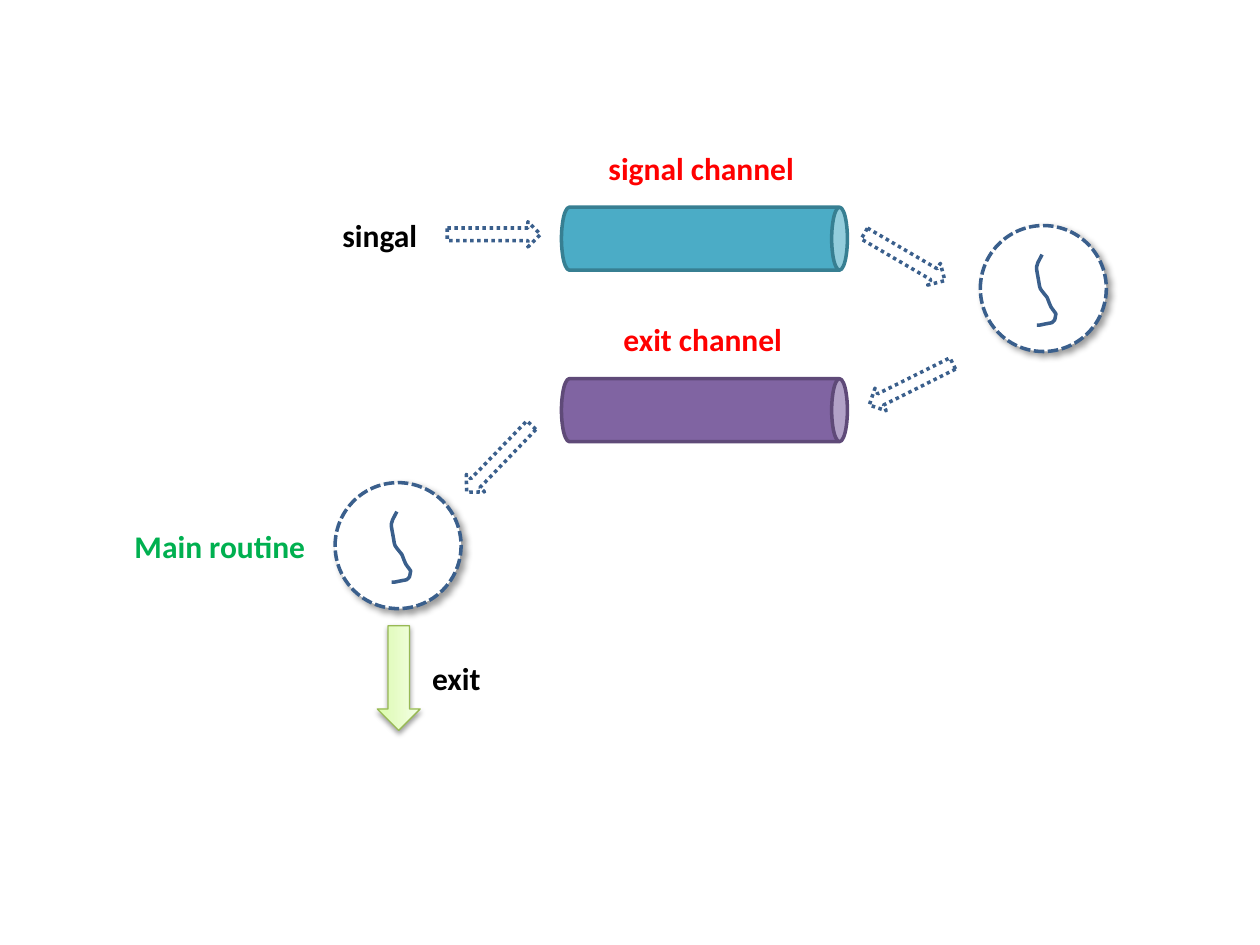
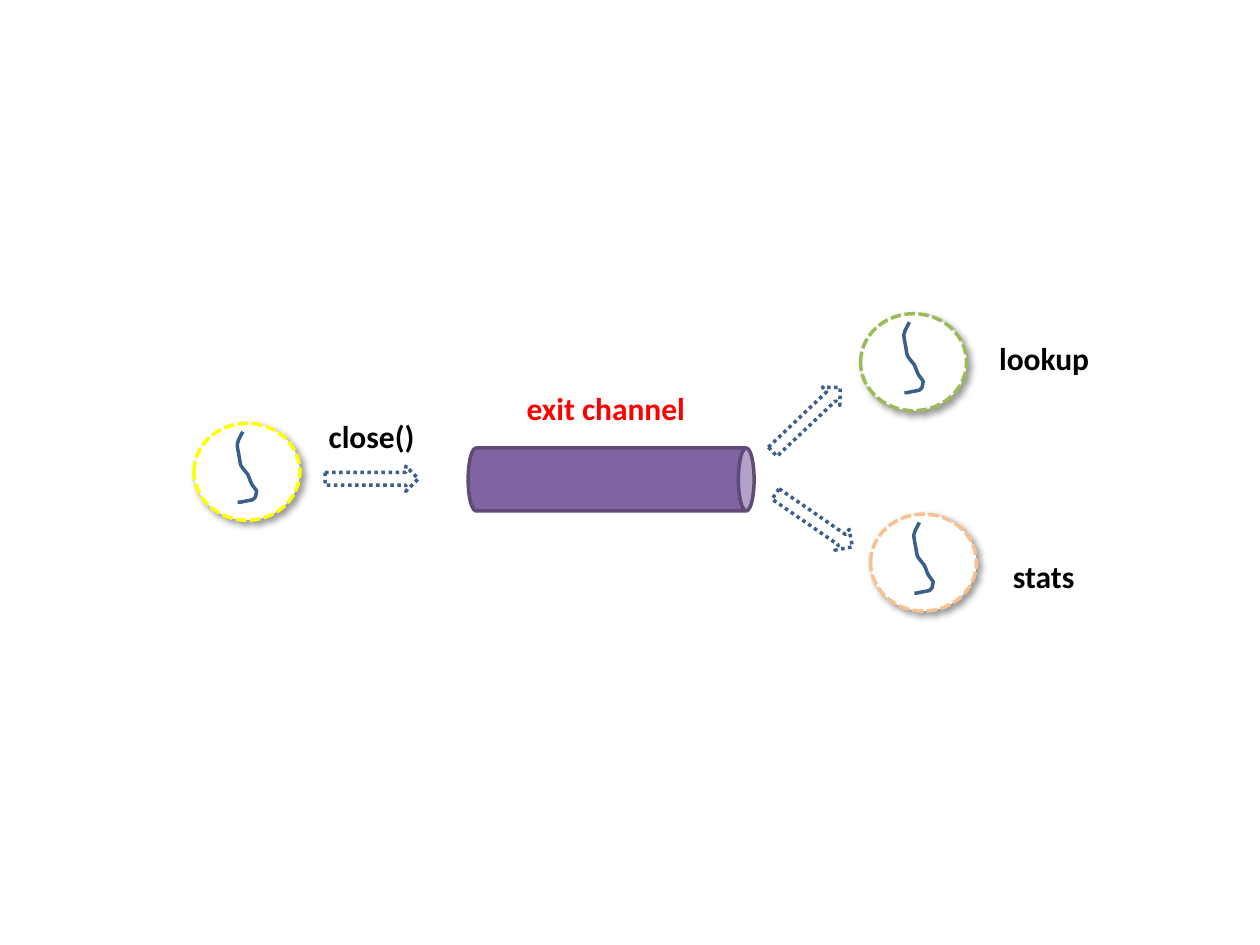
from dataclasses import dataclass
from lxml.etree import SubElement
from pptx import Presentation
from pptx.dml.color import RGBColor
from pptx.enum.dml import MSO_LINE as Dash
from pptx.enum.shapes import MSO_SHAPE as Preset
from pptx.enum.text import MSO_AUTO_SIZE as AutoSize
from pptx.oxml.ns import qn
from pptx.util import Pt


@dataclass(frozen=True)
class Theme:
    """Colours, type and sizes shared by the slides."""
    white: str = "FFFFFF"
    black: str = "000000"
    red: str = "FF0000"
    green: str = "00B050"
    blue: str = "3A5F8C"
    yellow: str = "FFFF00"
    olive: str = "9BBB59"
    peach: str = "FAC090"
    teal: tuple = ("4BACC6", "377F92")
    purple: tuple = ("8064A2", "5F4A78")
    exit_line: str = "98B955"
    exit_stops: tuple = ((0, "DAFDA7"), (35, "E4FCC2"), (100, "F5FFE7"))
    stroke: float = 2
    label_height: float = 28.8
    arrow_size: tuple = (53.3, 14.4)
    channel_size: tuple = (163.4, 36)


THEME = Theme()
LABEL_FONT = {"name": "Calibri", "size": Pt(18), "bold": True}
LABEL_FRAME = {"word_wrap": False, "auto_size": AutoSize.SHAPE_TO_FIT_TEXT}
ROUTINE_SHADOW = {"blur": 4, "distance": 3, "angle": 45, "alpha": 40}
EXIT_SHADOW = {"blur": 3.1, "distance": 1.6, "angle": 90, "alpha": 38}

# Thread outline in hundredths of an inch: a start, then Bezier triples.
THREAD_UNIT = Pt(0.72)
THREAD_START = (4, 0)
THREAD_CURVES = (
    (-2, 12), (-1, 6), (2, 25), (2, 26), (3, 28), (4, 29),
    (5, 31), (7, 32), (8, 34), (12, 44), (10, 40), (15, 47),
    (14, 49), (15, 52), (13, 53), (12, 55), (9, 54), (7, 55),
    (5, 55), (4, 56), (2, 56), (2, 56), (1, 56), (0, 56),
)


def apply_format(target, values):
    """Set every attribute named in a dict."""
    for name, value in values.items():
        setattr(target, name, value)


def style_line(shape, color, width=THEME.stroke, dash=None):
    """Give a shape its outline."""
    shape.line.color.rgb = RGBColor.from_string(color)
    apply_format(shape.line, {"width": Pt(width), "dash_style": dash})


def add_preset(slide, preset, box, fill, line, dash=None, rotation=0):
    """Add a flat preset shape; box is left, top, width, height."""
    shape = slide.shapes.add_shape(preset, *map(Pt, box))
    shape.rotation = rotation
    shape.fill.solid()
    shape.fill.fore_color.rgb = RGBColor.from_string(fill)
    style_line(shape, line, dash=dash)
    shape.shadow.inherit = False
    return shape


def add_color(parent, color, alpha=None):
    """Append an RGB colour element, with an optional opacity in percent."""
    element = SubElement(parent, qn("a:srgbClr"), val=color)
    if alpha is not None:
        SubElement(element, qn("a:alpha"), val=str(alpha * 1000))


def add_shadow(shape, blur, distance, angle, alpha):
    """Fill the empty effect list of a shape with an outer shadow."""
    effects = shape._element.spPr.find(qn("a:effectLst"))
    shadow = SubElement(
        effects, qn("a:outerShdw"), blurRad=str(Pt(blur)),
        dist=str(Pt(distance)), dir=str(angle * 60000), rotWithShape="0")
    add_color(shadow, THEME.black, alpha)


def set_gradient(shape, stops, angle):
    """Give a shape a linear gradient with any number of stops."""
    shape.fill.gradient()
    shape.fill.gradient_angle = angle
    stop_list = next(shape._element.spPr.iter(qn("a:gsLst")))
    for stop in list(stop_list):
        stop_list.remove(stop)
    for position, color in stops:
        stop = SubElement(stop_list, qn("a:gs"), pos=str(position * 1000))
        add_color(stop, color)


def add_label(slide, text, left, top, width, color=THEME.black):
    """Add a bold one-line label."""
    box = (left, top, width, THEME.label_height)
    frame = slide.shapes.add_textbox(*map(Pt, box)).text_frame
    apply_format(frame, LABEL_FRAME)
    run = frame.paragraphs[0].add_run()
    run.text = text
    apply_format(run.font, LABEL_FONT)
    run.font.color.rgb = RGBColor.from_string(color)


def add_flow_arrow(slide, left, top, rotation=0):
    """Add a dotted block arrow."""
    add_preset(slide, Preset.RIGHT_ARROW, (left, top, *THEME.arrow_size),
               THEME.white, THEME.blue, Dash.ROUND_DOT, rotation)


def add_channel(slide, left, top, colors, text, label_offset, label_width):
    """Add a lying cylinder with a red label above it."""
    length, depth = THEME.channel_size
    shift = (length - depth) / 2
    add_preset(slide, Preset.CAN, (left + shift, top - shift, depth, length),
               *colors, rotation=90)
    add_label(slide, text, left + label_offset, top - 37, label_width,
              THEME.red)


def add_thread(slide, left, top):
    """Add the curved thread line."""
    builder = slide.shapes.build_freeform(*THREAD_START, scale=THREAD_UNIT)
    builder.add_line_segments(THREAD_CURVES, close=False)
    shape = builder.convert_to_shape(Pt(left), Pt(top))
    outline = next(shape._element.iter(qn("a:path")))
    segments = outline.findall(qn("a:lnTo"))
    for first in range(0, len(segments), 3):
        curve = SubElement(outline, qn("a:cubicBezTo"))
        for segment in segments[first:first + 3]:
            curve.append(segment[0])
            outline.remove(segment)
    shape.fill.background()
    style_line(shape, THEME.blue)
    shape.shadow.inherit = False


def add_routine(slide, box, thread_offset, color=THEME.blue):
    """Add a dashed circle with a thread inside."""
    circle = add_preset(slide, Preset.OVAL, box, THEME.white, color,
                        Dash.SQUARE_DOT)
    add_shadow(circle, **ROUTINE_SHADOW)
    add_thread(slide, box[0] + thread_offset[0], box[1] + thread_offset[1])


def add_exit_arrow(slide, left, top):
    """Add the green arrow pointing down, with its label on the right."""
    length, depth = 59.8, 24.5
    shift = (length - depth) / 2
    arrow = add_preset(slide, Preset.RIGHT_ARROW,
                       (left - shift, top + shift, length, depth),
                       THEME.white, THEME.exit_line, rotation=90)
    set_gradient(arrow, THEME.exit_stops, 90)
    style_line(arrow, THEME.exit_line, 0.75)
    add_shadow(arrow, **EXIT_SHADOW)
    add_label(slide, "exit", left + 24.2, top + 15.4, 42.5)


def build_signal_slide(slide):
    """Show a signal passing through two channels to the main routine."""
    channel_left = 320.8
    add_label(slide, "singal", 188.6, 120.2, 57.6)
    add_channel(slide, channel_left, 118.4, THEME.teal, "signal channel",
                19.8, 121)
    add_channel(slide, channel_left, 216.4, THEME.purple, "exit channel",
                28.4, 105.8)
    for left, top in ((560.2, 128.9), (191.5, 275.8)):
        add_routine(slide, (left, top, 72, 72), (32.4, 16.6))
    for arrow in ((255.6, 126.7), (490.3, 139.7, 30.3),
                  (493.9, 212.4, 153.5), (258.5, 254.9, 134)):
        add_flow_arrow(slide, *arrow)
    add_label(slide, "Main routine", 69.8, 297.4, 113, THEME.green)
    add_exit_arrow(slide, 215.6, 357.6)


def build_close_slide(slide):
    """Show a closed exit channel reaching two routines."""
    add_channel(slide, 267.5, 256, THEME.purple, "exit channel", 26.3, 105.8)
    for left, top, color in ((110.9, 241.9, THEME.yellow),
                             (491.8, 179.3, THEME.olive),
                             (497.5, 293.8, THEME.peach)):
        add_routine(slide, (left, top, 60.5, 55.4), (25, 4.8), color)
    for arrow in ((185.8, 266.4), (434.2, 232.6, 316.5),
                  (438.5, 290.2, 34.6)):
        add_flow_arrow(slide, *arrow)
    for label in (("close()", 180.7, 234.7, 64.1),
                  ("lookup", 563.8, 190.1, 66.2),
                  ("stats", 571.7, 314.6, 49.7)):
        add_label(slide, *label)


def main():
    """Build and save the presentation."""
    presentation = Presentation()
    apply_format(presentation,
                 {"slide_width": Pt(720), "slide_height": Pt(540)})
    blank = presentation.slide_layouts[6]
    for build in (build_signal_slide, build_close_slide):
        build(presentation.slides.add_slide(blank))
    presentation.save("out.pptx")


main()
